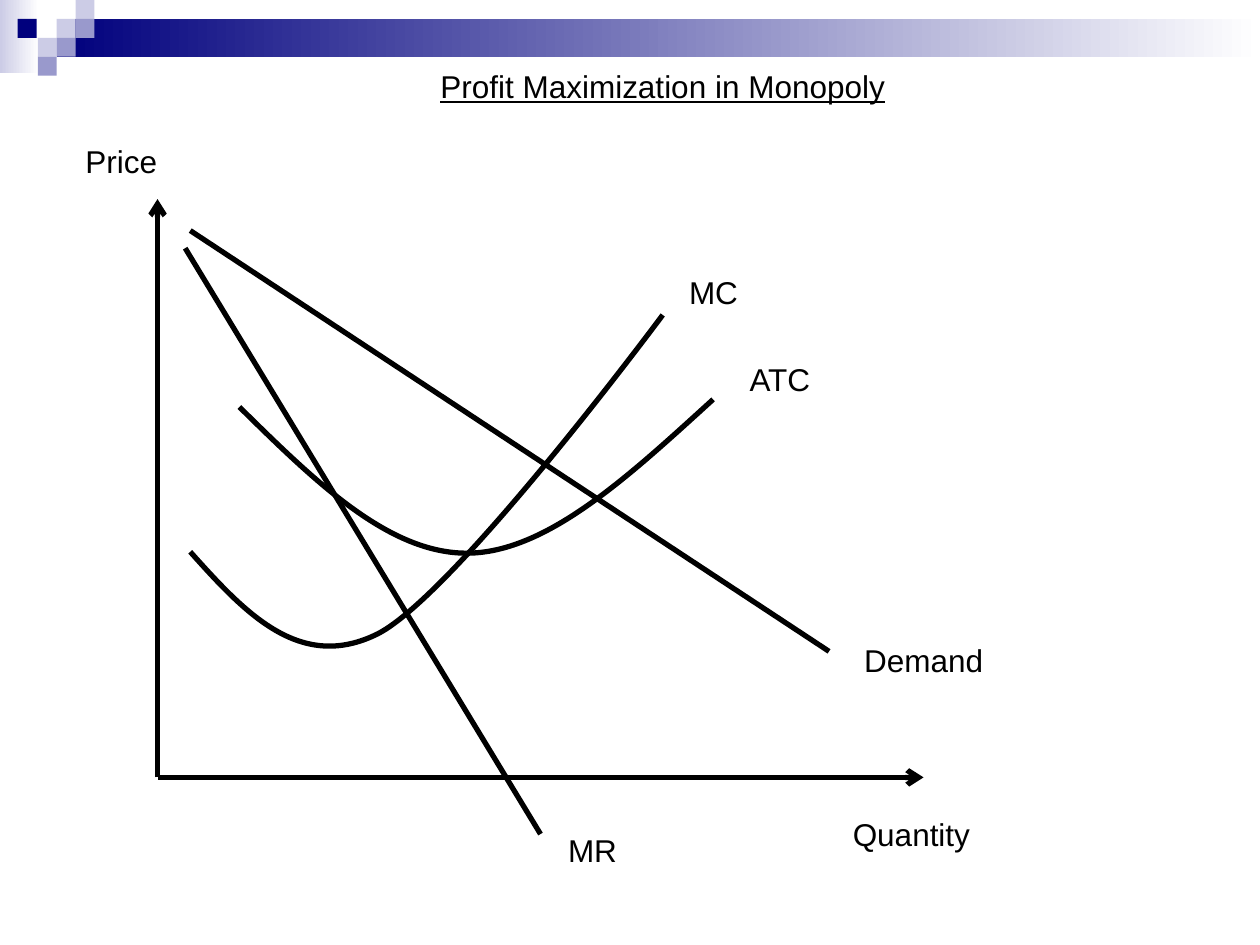
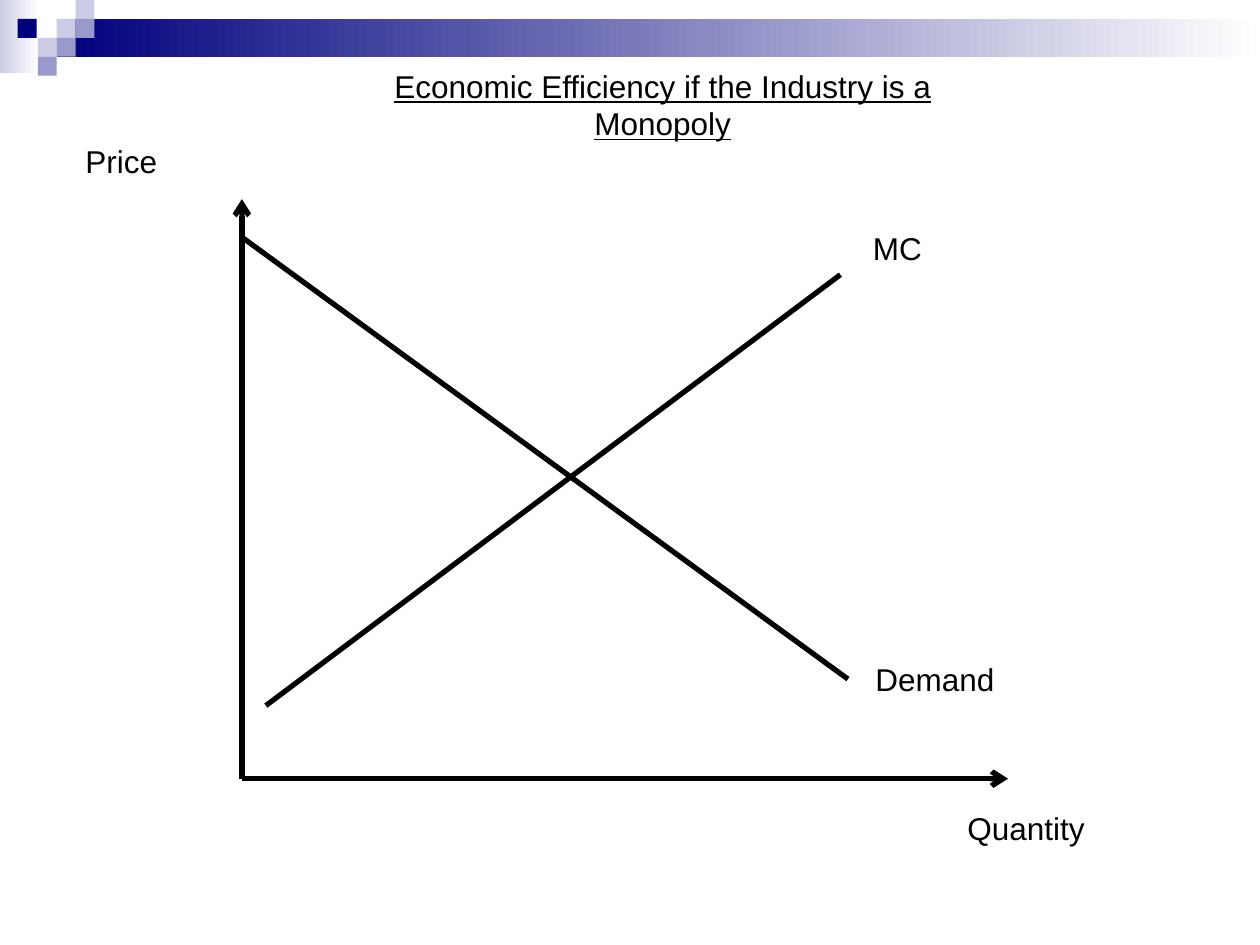
from pptx import Presentation
from pptx.dml.color import RGBColor
from pptx.enum.shapes import MSO_CONNECTOR, MSO_SHAPE
from pptx.enum.text import MSO_AUTO_SIZE, PP_ALIGN
from pptx.oxml.ns import qn
from pptx.util import Inches, Pt
from lxml import etree

BLACK = RGBColor(0x00, 0x00, 0x00)
WHITE = RGBColor(0xFF, 0xFF, 0xFF)
NAVY = RGBColor(0x00, 0x00, 0x7D)
PERIWINKLE = RGBColor(0x99, 0x99, 0xCC)
LAVENDER = RGBColor(0xCC, 0xCC, 0xE6)

SQUARES = [
    (0.45, 0.15, LAVENDER), (0.6, 0, LAVENDER), (0.6, 0.15, PERIWINKLE),
    (0.3, 0.3, LAVENDER), (0.14, 0.15, NAVY), (0.45, 0.3, PERIWINKLE),
    (0.3, 0.45, PERIWINKLE),
]


def bezier_point(p0, p1, p2, p3, t):
    u = 1 - t
    return tuple(u**3 * a + 3 * u * u * t * b + 3 * u * t * t * c + t**3 * d
                 for a, b, c, d in zip(p0, p1, p2, p3))


class Deck:
    font = "Arial"
    size = Pt(18)
    weight = Pt(3)

    def __init__(self):
        self.prs = Presentation()
        self.prs.slide_width = Inches(10)
        self.prs.slide_height = Inches(7.5)
        self.s = None

    def slide(self, title, title_height):
        self.s = self.prs.slides.add_slide(self.prs.slide_layouts[6])
        self.s.background.fill.solid()
        self.s.background.fill.fore_color.rgb = WHITE
        self.rect(0, 0, 0.31, 0.58, LAVENDER, WHITE)
        self.rect(0.45, 0.15, 9.55, 0.3, NAVY, WHITE)
        for x, y, color in SQUARES:
            self.rect(x, y, 0.15, 0.15, color)
        self.title(title, title_height)

    def rect(self, x, y, w, h, color, fade_to=None):
        sp = self.s.shapes.add_shape(
            MSO_SHAPE.RECTANGLE, Inches(x), Inches(y), Inches(w), Inches(h))
        sp.shadow.inherit = False
        sp.line.fill.background()
        if fade_to is None:
            sp.fill.solid()
            sp.fill.fore_color.rgb = color
            return
        sp.fill.gradient()
        sp.fill.gradient_angle = 0
        for stop, rgb, position in zip(sp.fill.gradient_stops, (color, fade_to), (0, 1)):
            stop.color.rgb = rgb
            stop.position = position

    def label(self, text, x, y, w, h=0.4, wrap=False):
        sp = self.s.shapes.add_textbox(Inches(x), Inches(y), Inches(w), Inches(h))
        tf = sp.text_frame
        tf.word_wrap = wrap
        tf.auto_size = MSO_AUTO_SIZE.SHAPE_TO_FIT_TEXT
        tf.text = text
        p = tf.paragraphs[0]
        r = p.runs[0]
        r.font.name = self.font
        r.font.size = self.size
        r.font.color.rgb = BLACK
        return p

    def title(self, text, h):
        p = self.label(text, 2.76, 0.48, 5, h, wrap=True)
        p.alignment = PP_ALIGN.CENTER
        p.runs[0].font.underline = True

    def stroke(self, sp):
        sp.line.color.rgb = BLACK
        sp.line.width = self.weight

    def line(self, start, end, arrow=False):
        sp = self.s.shapes.add_connector(
            MSO_CONNECTOR.STRAIGHT, *(Inches(v) for v in start + end))
        self.stroke(sp)
        props = sp.line._get_or_add_ln().getparent()
        if arrow:
            etree.SubElement(props.find(qn("a:ln")), qn("a:tailEnd"), type="arrow")
        etree.SubElement(props, qn("a:effectLst"))

    def axes(self, x, y):
        self.line((x, y), (x, 1.58), arrow=True)
        self.line((x, y), (x + 6.08, y), arrow=True)

    def curve(self, *points):
        pts = [(Inches(x), Inches(y)) for x, y in points]
        segments = [pts[i:i + 4] for i in range(0, len(pts) - 1, 3)]
        outline = [bezier_point(*seg, n / 40) for seg in segments for n in range(1, 41)]
        builder = self.s.shapes.build_freeform(*pts[0], scale=1.0)
        builder.add_line_segments(outline, close=False)
        sp = builder.convert_to_shape()
        sp.shadow.inherit = False
        sp.fill.background()
        self.stroke(sp)
        path = next(sp._element.iter(qn("a:path")))
        for segment in path.findall(qn("a:lnTo")):
            path.remove(segment)
        for seg in segments:
            cubic = etree.SubElement(path, qn("a:cubicBezTo"))
            for x, y in seg[1:]:
                etree.SubElement(cubic, qn("a:pt"), x=str(x - sp.left), y=str(y - sp.top))


deck = Deck()

deck.slide("Profit Maximization in Monopoly", 0.4)
deck.axes(1.25, 6.17)
deck.line((1.51, 1.83), (6.58, 5.17))
deck.line((1.47, 1.97), (4.29, 6.62))
deck.curve((1.51, 4.38), (1.94, 4.86), (2.38, 5.34), (3, 5.03),
           (3.62, 4.71), (5.26, 2.5), (5.26, 2.5))
deck.curve((1.9, 3.23), (2.5, 3.82), (3.09, 4.4), (3.72, 4.39),
           (4.35, 4.38), (5, 3.77), (5.66, 3.17))
deck.label("Price", 0.58, 1.08, 0.78)
deck.label("Quantity", 6.67, 6.42, 1.14)
deck.label("Demand", 6.76, 5.04, 1.16)
deck.label("MR", 4.41, 6.55, 0.59)
deck.label("MC", 5.37, 2.12, 0.59)
deck.label("ATC", 5.85, 2.81, 0.69)

deck.slide("Economic Efficiency if the Industry is a Monopoly", 0.71)
deck.axes(1.92, 6.18)
deck.line((1.93, 1.89), (6.73, 5.39))
deck.line((2.11, 5.6), (6.67, 2.18))
deck.label("Price", 0.58, 1.08, 0.78)
deck.label("Quantity", 7.58, 6.37, 1.14)
deck.label("Demand", 6.85, 5.19, 1.16)
deck.label("MC", 6.83, 1.77, 0.59)

deck.prs.save("out.pptx")
